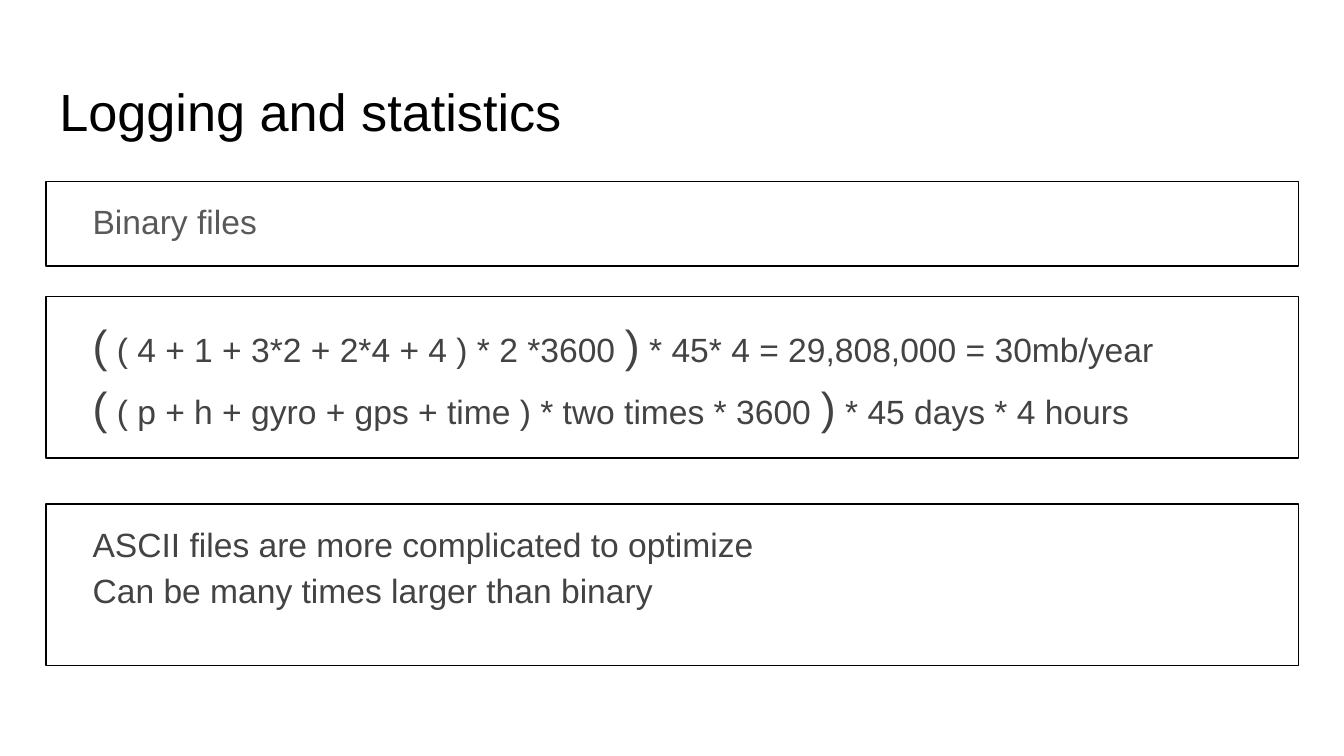
from pptx import Presentation
from pptx.dml.color import RGBColor
from pptx.enum.text import MSO_ANCHOR, MSO_AUTO_SIZE, PP_ALIGN
from pptx.oxml.xmlchemy import OxmlElement
from pptx.util import Cm, Pt

TOP = MSO_ANCHOR.TOP
FIXED = MSO_AUTO_SIZE.NONE
LEFT = PP_ALIGN.LEFT
BLACK = RGBColor(0x00, 0x00, 0x00)
GREY = RGBColor(0x59, 0x59, 0x59)
DARK = RGBColor(0x43, 0x43, 0x43)
FONT = "Arial"
COMPARISON_LAYOUT = 4
EDGE, WIDTH = Cm(0.87), Cm(23.67)
INSET = Cm(0.25)


def add_text(para, text, size=18, color=DARK):
    """Append a formatted span to a paragraph."""
    span = para.add_run()
    span.text = text
    font = span.font
    font.name, font.size, font.bold = FONT, Pt(size), False
    font.color.rgb = color


class Page:
    """Hold the slide and fill its placeholders in one style."""

    def __init__(self, deck):
        self.slide = deck.slides.add_slide(deck.slide_layouts[COMPARISON_LAYOUT])

    def place(self, box, top, height):
        """Move a placeholder and set up its text frame."""
        box.left, box.top, box.width, box.height = EDGE, Cm(top), WIDTH, Cm(height)
        frame = box.text_frame
        frame.margin_left = frame.margin_right = INSET
        frame.margin_top = frame.margin_bottom = INSET
        frame.vertical_anchor = TOP
        frame.word_wrap = True
        frame.auto_size = FIXED
        return frame

    def title(self, text, top, height):
        """Write the slide title."""
        para = self.place(self.slide.shapes.title, top, height).paragraphs[0]
        para.alignment = LEFT
        add_text(para, text, size=28, color=BLACK)

    def body(self, index, lines, top, height, color=DARK, after=0):
        """Write an outlined box whose lines are lists of (text, size) pairs."""
        box = self.slide.placeholders[index]
        frame = self.place(box, top, height)
        box.line.color.rgb = BLACK
        box.line.width = Pt(0.75)
        for number, spans in enumerate(lines):
            para = frame.add_paragraph() if number else frame.paragraphs[0]
            para.alignment = LEFT
            para.line_spacing = 1.15
            para.space_before, para.space_after = Pt(0), Pt(after)
            properties = para._p.get_or_add_pPr()
            properties.set("marL", str(Cm(1.27)))
            properties.set("indent", str(-Cm(0.64)))
            properties.append(OxmlElement("a:buNone"))
            for text, size in spans:
                add_text(para, text, size=size, color=color)

    def remove(self, index):
        """Delete an unused placeholder."""
        element = self.slide.placeholders[index]._element
        element.getparent().remove(element)


def formula(inner, rest):
    """Return the spans of a formula with large outer brackets."""
    return [("(", 24), (inner, 18), (")", 24), (rest, 18)]


def main():
    """Build and save the deck."""
    deck = Presentation()
    deck.slide_width, deck.slide_height = Cm(25.4), Cm(14.29)
    page = Page(deck)
    page.title("Logging and statistics", 1.24, 1.6)
    page.body(1, [[("Binary files", 18)]], 3.43, 1.6, color=GREY, after=16)
    page.body(2, [
        formula(" ( 4 + 1 + 3*2 + 2*4 + 4 ) * 2 *3600 ", " * 45* 4 = 29,808,000 = 30mb/year"),
        formula(" ( p + h + gyro + gps + time ) * two times * 3600 ", " * 45 days * 4 hours"),
    ], 5.61, 3.05)
    page.body(3, [
        [("ASCII files are more complicated to optimize", 18)],
        [("Can be many times larger than binary", 18)],
    ], 9.53, 3.05)
    page.remove(4)
    deck.save("out.pptx")


if __name__ == "__main__":
    main()
